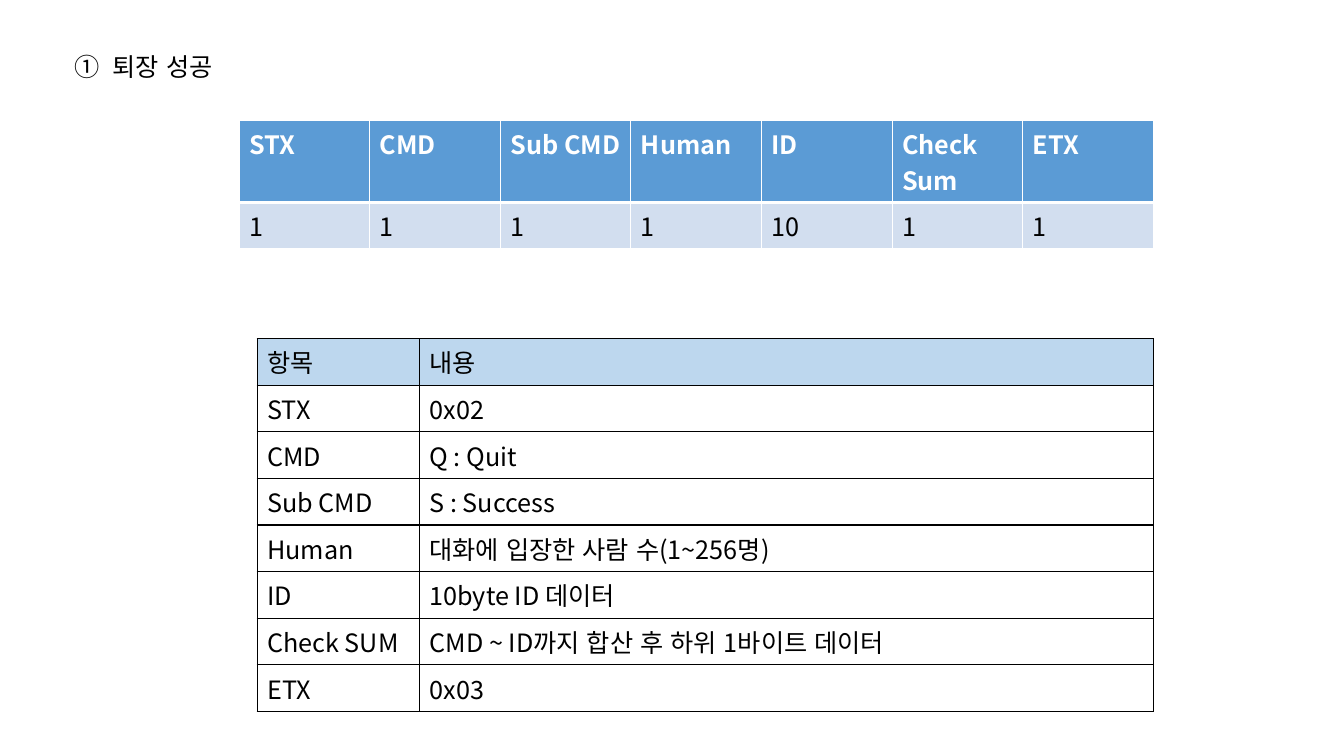
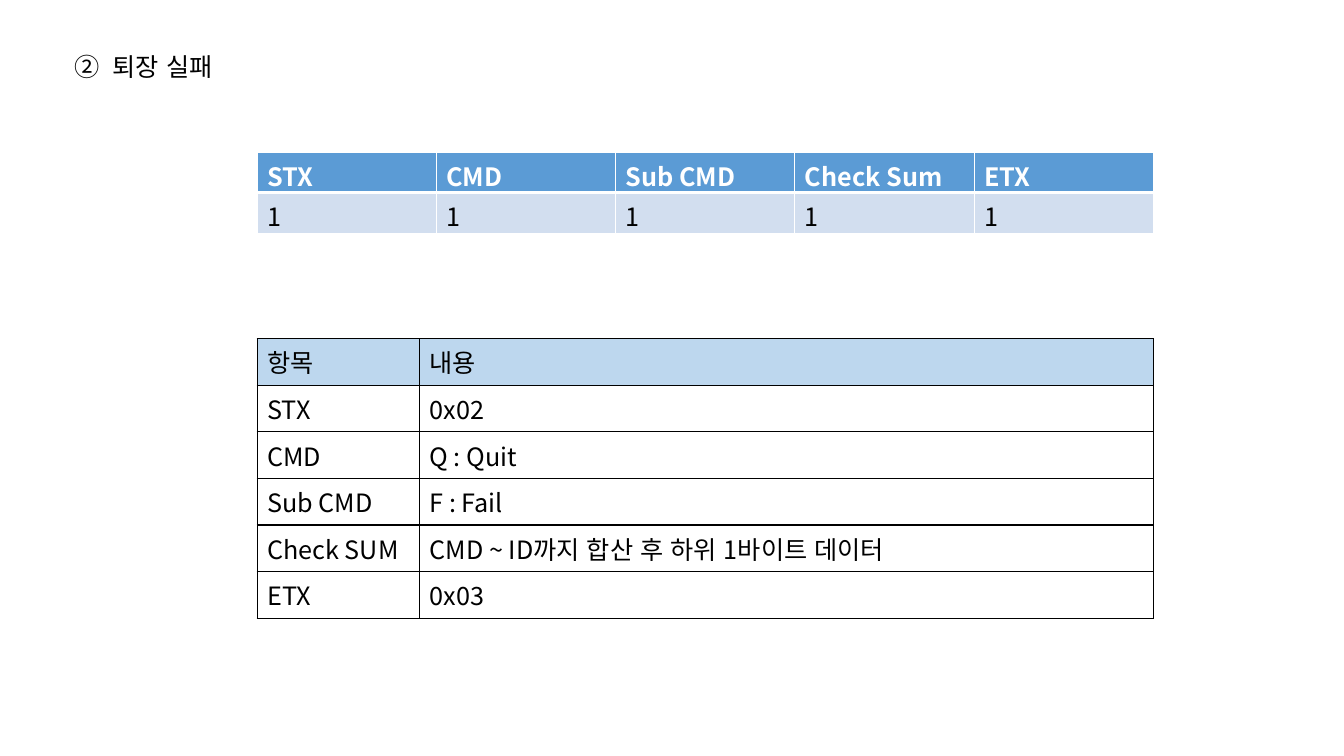
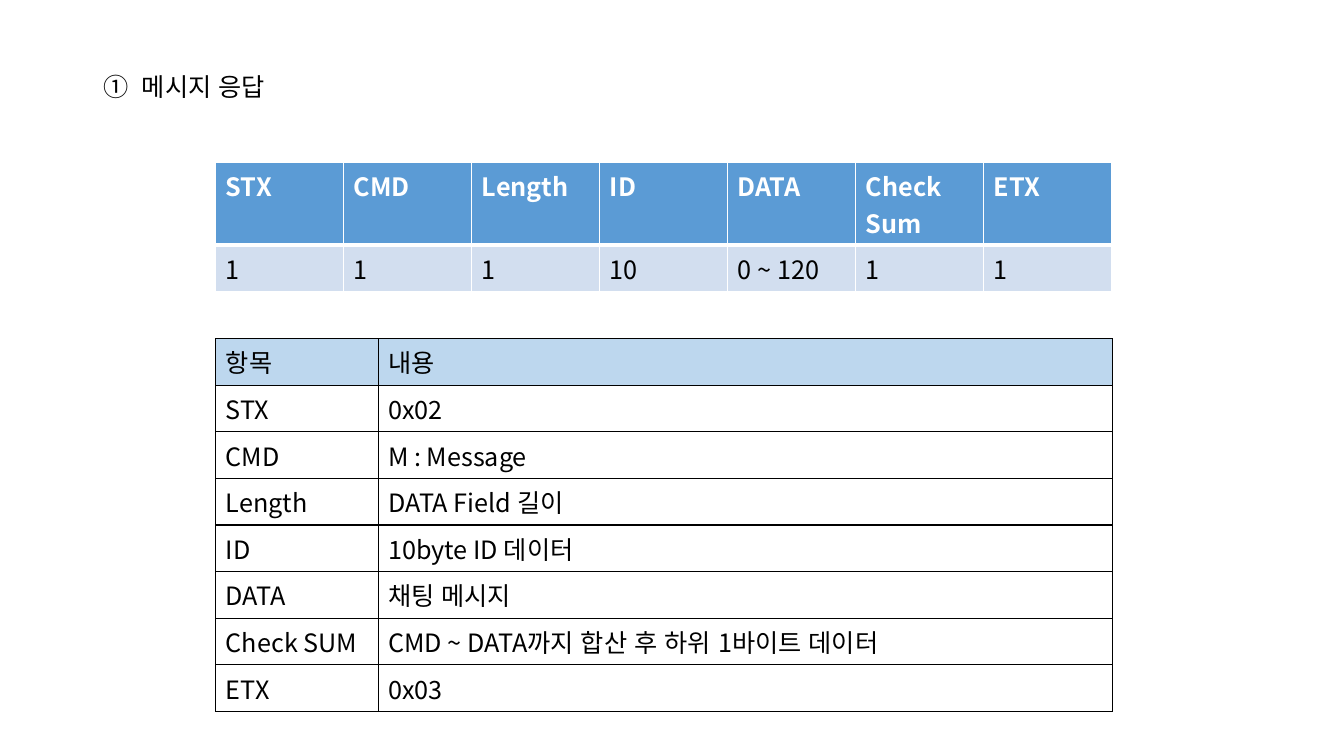
from lxml import etree
from pptx import Presentation
from pptx.dml.color import RGBColor
from pptx.enum import lang, text
from pptx.oxml import ns
from pptx.util import Inches, Pt

COLORS = {
    "black": "000000",
    "white": "FFFFFF",
    "packet_head": "5B9BD5",
    "packet_size": "D2DEEF",
    "detail_head": "BDD7EE",
}
FONT = "Noto Sans CJK KR"
BODY = {"size": Pt(18), "name": FONT, "bold": False,
        "language_id": lang.MSO_LANGUAGE_ID.KOREAN}
HEAD = {**BODY, "bold": True}
PLAIN_TABLE = {"first_row": False, "horz_banding": False}

ONE_LINE_ROWS = [0.4, 0.41]
TWO_LINE_ROWS = [0.82, 0.46]
DETAIL_TOP = 3.36
DETAIL_ROW_HEIGHT = 3.7 / 8
DETAIL_COLUMNS = [1.61, 7.28]
DETAIL_HEAD = ("항목", "내용")
STX = ("STX", "0x02")
QUIT = ("CMD", "Q : Quit")
ID = ("ID", "10byte ID 데이터")
QUIT_SUM = ("Check SUM", "CMD ~ ID까지 합산 후 하위 1바이트 데이터")
ETX = ("ETX", "0x03")

MESSAGES = [
    {
        "title": "퇴장 성공", "number": 1, "title_at": (0.64, 0.46, 1.68),
        "packet": [("STX", "1"), ("CMD", "1"), ("Sub CMD", "1"), ("Human", "1"),
                   ("ID", "10"), ("Check Sum", "1"), ("ETX", "1")],
        "packet_at": (2.37, 1.19, 9.07), "packet_rows": TWO_LINE_ROWS,
        "detail_left": 2.55,
        "detail": [STX, QUIT, ("Sub CMD", "S : Success"),
                   ("Human", "대화에 입장한 사람 수(1~256명)"), ID, QUIT_SUM, ETX],
    },
    {
        "title": "퇴장 실패", "number": 2, "title_at": (0.64, 0.46, 1.68),
        "packet": [("STX", "1"), ("CMD", "1"), ("Sub CMD", "1"),
                   ("Check Sum", "1"), ("ETX", "1")],
        "packet_at": (2.55, 1.51, 8.89), "packet_rows": ONE_LINE_ROWS,
        "detail_left": 2.55,
        "detail": [STX, QUIT, ("Sub CMD", "F : Fail"), QUIT_SUM, ETX],
    },
    {
        "title": "메시지 응답", "number": 1, "title_at": (0.93, 0.66, 1.93),
        "packet": [("STX", "1"), ("CMD", "1"), ("Length", "1"), ("ID", "10"),
                   ("DATA", "0 ~ 120"), ("Check Sum", "1"), ("ETX", "1")],
        "packet_at": (2.14, 1.61, 8.89), "packet_rows": TWO_LINE_ROWS,
        "detail_left": 2.14,
        "detail": [STX, ("CMD", "M : Message"), ("Length", "DATA Field 길이"), ID,
                   ("DATA", "채팅 메시지"),
                   ("Check SUM", "CMD ~ DATA까지 합산 후 하위 1바이트 데이터"), ETX],
    },
]


def apply(target, values):
    for key, value in values.items():
        setattr(target, key, value)


def write(paragraph, words, style, color):
    run = paragraph.add_run()
    run.text = words
    apply(run.font, style)
    run.font.color.rgb = RGBColor.from_string(COLORS[color])
    etree.SubElement(run._r.get_or_add_rPr(), ns.qn("a:ea"), typeface=FONT)


def add_borders(cell, color, widths):
    properties = cell._tc.get_or_add_tcPr()
    for side, width in zip("LRTB", widths):
        line = etree.SubElement(properties, ns.qn(f"a:ln{side}"), w=str(Pt(width)))
        fill = etree.SubElement(line, ns.qn("a:solidFill"))
        etree.SubElement(fill, ns.qn("a:srgbClr"), val=COLORS[color])


def add_grid(slide, rows, left, top, columns, heights, styles):
    table = slide.shapes.add_table(
        len(rows), len(columns), Inches(left), Inches(top),
        Inches(sum(columns)), Inches(sum(heights))).table
    apply(table, PLAIN_TABLE)
    for column, width in zip(table.columns, columns):
        column.width = Inches(width)
    for row, height, words, style in zip(table.rows, heights, rows, styles):
        row.height = Inches(height)
        for cell, word in zip(row.cells, words):
            add_borders(cell, style["border"], style["widths"])
            if style["fill"]:
                cell.fill.solid()
                cell.fill.fore_color.rgb = RGBColor.from_string(COLORS[style["fill"]])
            else:
                cell.fill.background()
            write(cell.text_frame.paragraphs[0], word, style["font"], style["color"])


def add_title(slide, title, number, place):
    left, top, width = place
    frame = slide.shapes.add_textbox(
        Inches(left), Inches(top), Inches(width), Inches(0.4)).text_frame
    apply(frame, {"word_wrap": False, "auto_size": text.MSO_AUTO_SIZE.SHAPE_TO_FIT_TEXT})
    paragraph = frame.paragraphs[0]
    properties = paragraph._p.get_or_add_pPr()
    indent = Inches(0.38)
    properties.set("marL", str(indent))
    properties.set("indent", str(-indent))
    etree.SubElement(properties, ns.qn("a:buFont"), typeface="+mj-ea")
    etree.SubElement(properties, ns.qn("a:buAutoNum"),
                     type="circleNumDbPlain", startAt=str(number))
    write(paragraph, title, BODY, "black")


PACKET_STYLES = [
    {"fill": "packet_head", "border": "white", "widths": (1, 1, 1, 3), "font": HEAD, "color": "white"},
    {"fill": "packet_size", "border": "white", "widths": (1, 1, 3, 1), "font": BODY, "color": "black"},
]
DETAIL_ROW = {"fill": None, "border": "black", "widths": (1, 1, 1, 1), "font": BODY, "color": "black"}
DETAIL_TITLE = {**DETAIL_ROW, "fill": "detail_head"}


def main():
    deck = Presentation()
    apply(deck, {"slide_width": Inches(13.33), "slide_height": Inches(7.5)})
    for message in MESSAGES:
        slide = deck.slides.add_slide(deck.slide_layouts[6])
        add_title(slide, message["title"], message["number"], message["title_at"])
        packet = message["packet"]
        left, top, width = message["packet_at"]
        add_grid(slide, list(zip(*packet)), left, top,
                 [width / len(packet)] * len(packet), message["packet_rows"],
                 PACKET_STYLES)
        detail = [DETAIL_HEAD] + message["detail"]
        add_grid(slide, detail, message["detail_left"], DETAIL_TOP, DETAIL_COLUMNS,
                 [DETAIL_ROW_HEIGHT] * len(detail),
                 [DETAIL_TITLE] + [DETAIL_ROW] * len(message["detail"]))
    deck.save("out.pptx")


if __name__ == "__main__":
    main()
